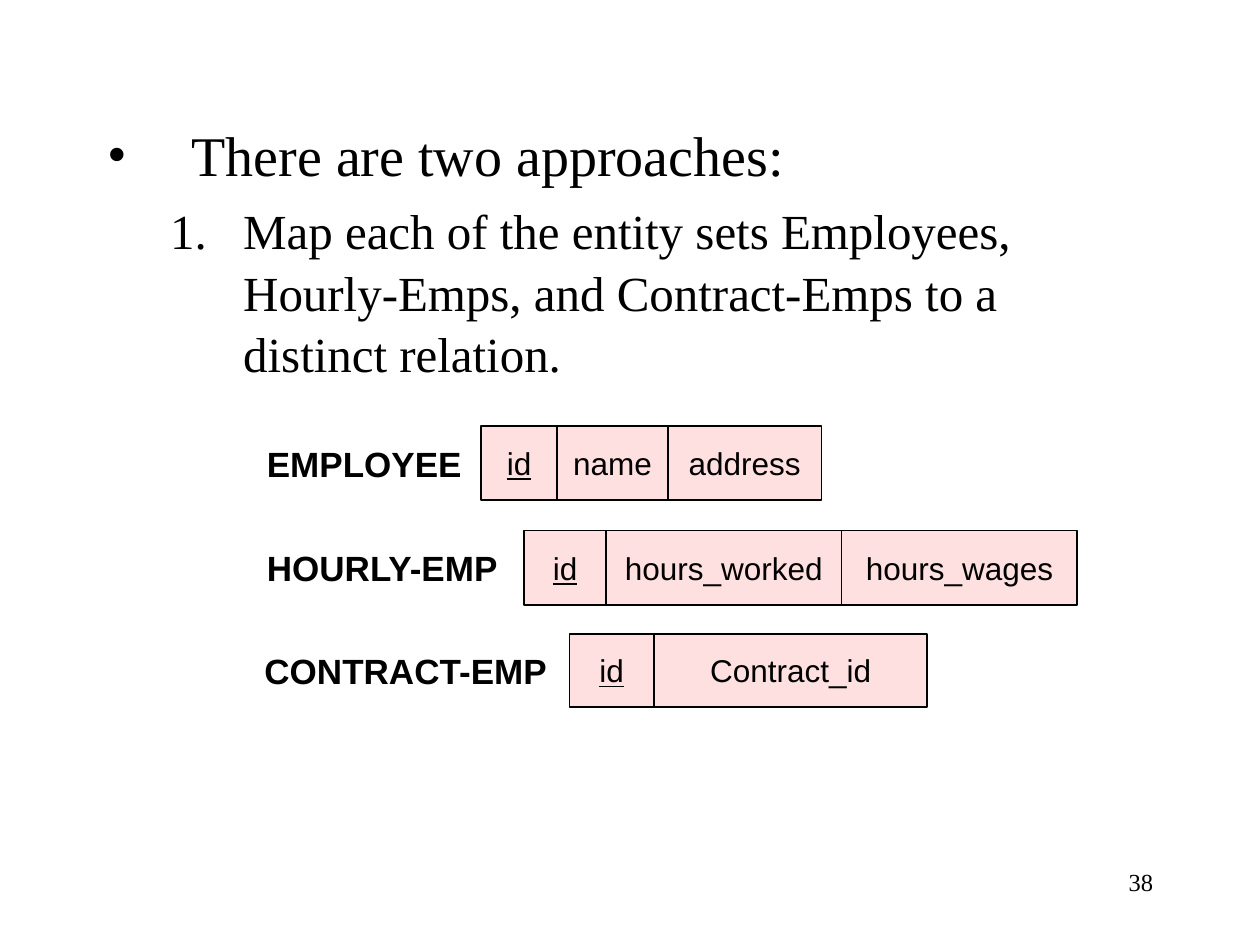
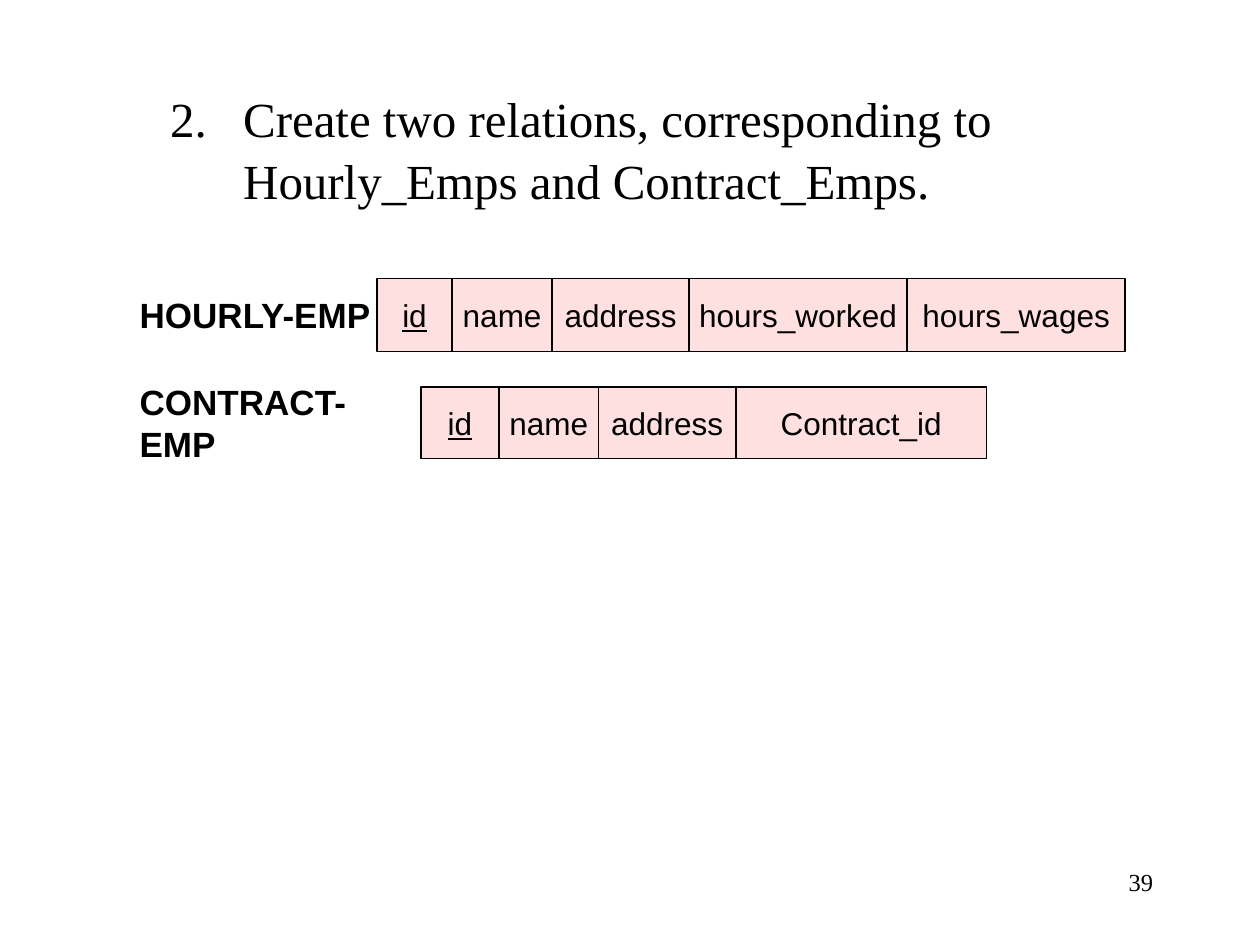
from dataclasses import dataclass

from lxml import etree
from pptx import Presentation, util as u
from pptx.dml.color import RGBColor
from pptx.enum import shapes, text
from pptx.oxml import ns


@dataclass(frozen=True)
class Theme:
    ink: RGBColor = RGBColor(0x00, 0x00, 0x00)
    cell_fill: RGBColor = RGBColor(0xFF, 0xE0, 0xE0)
    serif: str = "Times New Roman"
    sans: str = "Arial"
    bullet_size: int = 32
    step_size: int = 28
    label_size: int = 20
    cell_size: int = 18
    number_size: int = 14
    border: float = 1


class RelationSlides:
    """Builds slides that show relations as rows of attribute cells."""

    def __init__(self, deck, theme):
        self.deck, self.theme, self.page = deck, theme, None

    def add_page(self, number):
        self.page = self.deck.slides.add_slide(self.deck.slide_layouts[1])
        title = self.page.shapes.title.element
        title.getparent().remove(title)
        # Page number at the bottom right
        box = self.page.shapes.add_textbox(*map(u.Inches, (7.17, 6.83, 2.08, 0.5)))
        box.text_frame.word_wrap = True
        para = box.text_frame.paragraphs[0]
        para.alignment = text.PP_ALIGN.RIGHT
        self.add_span(para, str(number), name=self.theme.serif, size=self.theme.number_size)

    def add_span(self, para, words, **formats):
        span = para.add_run()
        span.text = words
        formats["size"] = u.Pt(formats["size"])
        for key, value in formats.items():
            setattr(span.font, key, value)
        span.font.color.rgb = self.theme.ink

    def add_list(self, top, items):
        """Each item is (words, step number), with None for a plain bullet."""
        body = self.page.placeholders[1]
        place = {"left": 0.75, "top": top, "width": 8.5, "height": 6.66 - top}
        for key, value in place.items():
            setattr(body, key, u.Inches(value))
        frame = body.text_frame
        frame.auto_size = text.MSO_AUTO_SIZE.NONE
        frame.margin_top = u.Inches(0.1)
        for index, (words, step) in enumerate(items):
            para = frame.add_paragraph() if index else frame.paragraphs[0]
            size = self.theme.step_size if step else self.theme.bullet_size
            para.level = 1 if step else 0
            para.space_before = u.Pt(0.2 * size if index else 0)
            para.line_spacing = 1.05
            self.add_marker(para, step)
            self.add_span(para, words, name=self.theme.serif, size=size)

    def add_marker(self, para, step):
        margin, hanging = (1.08, 0.58) if step else (0.67, 0.67)
        props = para._p.get_or_add_pPr()
        props.set("marL", str(u.Inches(margin)))
        props.set("indent", str(-u.Inches(hanging)))
        etree.SubElement(props, ns.qn("a:buFont"), typeface=self.theme.serif)
        if step:
            etree.SubElement(props, ns.qn("a:buAutoNum"), type="arabicPeriod", startAt=str(step))
        else:
            etree.SubElement(props, ns.qn("a:buChar"), char="•")

    def add_relation(self, name, label_left, left, top, height, attributes):
        """Draw a label, then its attribute cells side by side."""
        label = self.page.shapes.add_textbox(
            *map(u.Inches, (label_left, top, left - label_left, height)))
        self.fill_frame(label, name, text.PP_ALIGN.LEFT,
                        size=self.theme.label_size, bold=True)
        label.text_frame.margin_right = 0
        for attribute, width in attributes:
            self.add_cell(attribute, left, top, width, height)
            left += width

    def add_cell(self, attribute, left, top, width, height):
        cell = self.page.shapes.add_shape(
            shapes.MSO_SHAPE.RECTANGLE, *map(u.Inches, (left, top, width, height)))
        cell.shadow.inherit = False
        cell.fill.solid()
        cell.fill.fore_color.rgb = self.theme.cell_fill
        cell.line.color.rgb = self.theme.ink
        cell.line.width = u.Pt(self.theme.border)
        self.fill_frame(cell, attribute, text.PP_ALIGN.CENTER,
                        size=self.theme.cell_size, underline=attribute == "id")

    def fill_frame(self, box, words, alignment, **formats):
        frame = box.text_frame
        frame.word_wrap = False
        frame.vertical_anchor = text.MSO_ANCHOR.MIDDLE
        para = frame.paragraphs[0]
        para.alignment = alignment
        self.add_span(para, words, name=self.theme.sans, **formats)


def main():
    deck = Presentation()
    deck.slide_width, deck.slide_height = u.Inches(10), u.Inches(7.5)
    slides = RelationSlides(deck, Theme())

    # First approach: one relation per entity set
    slides.add_page(38)
    slides.add_list(0.83, [
        ("There are two approaches:", None),
        ("Map each of the entity sets Employees, Hourly-Emps, and "
         "Contract-Emps to a distinct relation.", 1),
    ])
    slides.add_relation("EMPLOYEE", 2.02, 3.82, 3.38, 0.59,
                        [("id", 0.6), ("name", 0.88), ("address", 1.22)])
    slides.add_relation("HOURLY-EMP", 2.02, 4.16, 4.21, 0.59,
                        [("id", 0.65), ("hours_worked", 1.87), ("hours_wages", 1.87)])
    slides.add_relation("CONTRACT-EMP", 2, 4.52, 5.03, 0.58,
                        [("id", 0.67), ("Contract_id", 2.17)])

    # Second approach: the shared attributes are repeated in both relations
    slides.add_page(39)
    slides.add_list(0.58, [
        ("Create two relations, corresponding to Hourly_Emps and Contract_Emps.", 2),
    ])
    shared = [("name", 0.79), ("address", 1.09)]
    slides.add_relation("HOURLY-EMP", 1.01, 2.99, 2.21, 0.58,
                        [("id", 0.6), *shared, ("hours_worked", 1.73), ("hours_wages", 1.73)])
    slides.add_relation("CONTRACT-EMP", 1.01, 3.34, 3.07, 0.57,
                        [("id", 0.62), *shared, ("Contract_id", 1.99)])

    deck.save("out.pptx")


if __name__ == "__main__":
    main()
